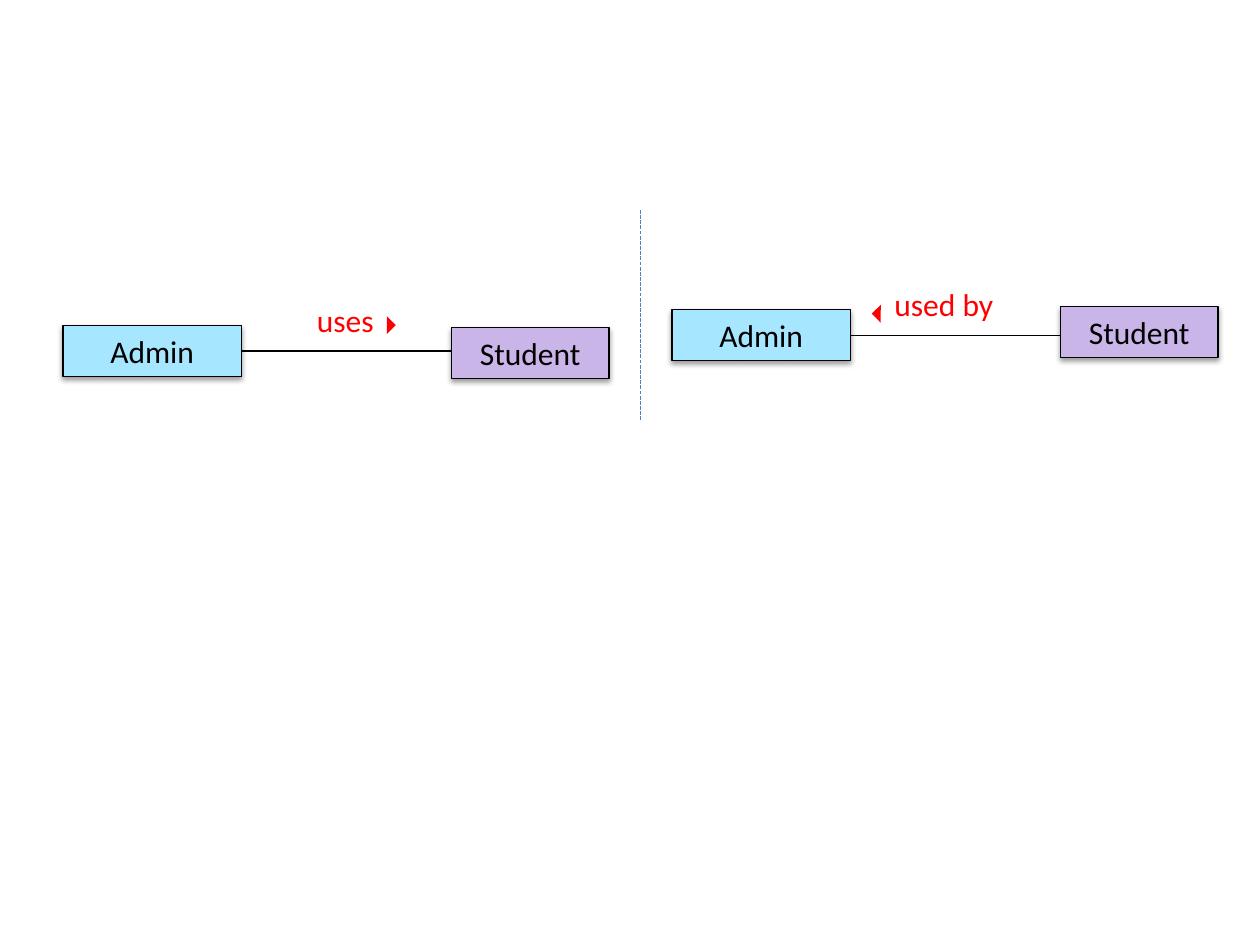
"""Builds a slide comparing two directions of an Admin and Student association."""
import dataclasses

import lxml.etree
import pptx
import pptx.dml.color
import pptx.enum.dml
import pptx.enum.shapes
import pptx.enum.text
import pptx.oxml.ns
import pptx.util

CELL = 1 / 12
BOX_HEIGHT = 4.85
ADMIN_WIDTH, STUDENT_WIDTH = 17, 15
STUDENT_OFFSET = 37
LABEL_RISE = 2.9
MARKER_SIZE = 1.2
BLACK, RED, BLUE = "000000", "FF0000", "4F81BD"
ADMIN_FILL, STUDENT_FILL = "A7E6FF", "C9B5E8"


@dataclasses.dataclass
class Association:
    """One labelled link, placed in grid columns and rows."""
    column: float
    admin_row: float
    student_row: float
    label: str
    label_column: float
    label_width: float
    marker_column: float
    marker_row: float
    marker_rotation: float


ASSOCIATIONS = [
    Association(6, 31, 31.2, "uses", 29, 8, 36.24, 30.36, 224.9),
    Association(64, 29.5, 29.2, "used by", 84, 14, 83.28, 29.28, 45.5),
]


def cells(count: float) -> int:
    """Return the length of a number of grid cells."""
    return pptx.util.Inches(count * CELL)


def color(value: str) -> pptx.dml.color.RGBColor:
    """Return the colour for a hex string."""
    return pptx.dml.color.RGBColor.from_string(value)


def write(shape, text: str, text_color: str, alignment) -> None:
    """Write one styled paragraph into a shape."""
    frame = shape.text_frame
    frame.word_wrap = True
    frame.auto_size = pptx.enum.text.MSO_AUTO_SIZE.SHAPE_TO_FIT_TEXT
    paragraph = frame.paragraphs[0]
    paragraph.text = text
    paragraph.alignment = alignment
    paragraph.font.name = "Calibri"
    paragraph.font.size = pptx.util.Pt(18)
    paragraph.font.color.rgb = color(text_color)


def add_shadow(shape) -> None:
    """Give a shape a soft shadow straight below it."""
    shape.shadow.inherit = False
    qualified = pptx.oxml.ns.qn
    effects = shape._element.spPr.find(qualified("a:effectLst"))
    shadow = lxml.etree.SubElement(
        effects, qualified("a:outerShdw"), blurRad="40000", dist="20000",
        dir="5400000", rotWithShape="0")
    shade = lxml.etree.SubElement(shadow, qualified("a:srgbClr"), val=BLACK)
    lxml.etree.SubElement(shade, qualified("a:alpha"), val="38000")


def add_box(slide, column: float, row: float, width: float, text: str, fill: str):
    """Add an outlined class box with centred text."""
    box = slide.shapes.add_shape(
        pptx.enum.shapes.MSO_SHAPE.RECTANGLE,
        cells(column), cells(row), cells(width), cells(BOX_HEIGHT))
    box.fill.solid()
    box.fill.fore_color.rgb = color(fill)
    box.line.color.rgb = color(BLACK)
    box.line.width = pptx.util.Pt(0.75)
    add_shadow(box)
    box.text_frame.vertical_anchor = pptx.enum.text.MSO_ANCHOR.MIDDLE
    write(box, text, BLACK, pptx.enum.text.PP_ALIGN.CENTER)
    return box


def add_line(slide, start_x: int, start_y: int, end_x: int, end_y: int, line_color: str):
    """Add a thin straight line without a shadow."""
    line = slide.shapes.add_connector(
        pptx.enum.shapes.MSO_CONNECTOR.STRAIGHT, start_x, start_y, end_x, end_y)
    line.line.color.rgb = color(line_color)
    line.line.width = pptx.util.Pt(0.75)
    lxml.etree.SubElement(line._element.spPr, pptx.oxml.ns.qn("a:effectLst"))
    return line


def add_marker(slide, column: float, row: float, rotation: float) -> None:
    """Add the small triangle that gives the reading direction."""
    marker = slide.shapes.add_shape(
        pptx.enum.shapes.MSO_SHAPE.RIGHT_TRIANGLE,
        cells(column), cells(row), cells(MARKER_SIZE), cells(MARKER_SIZE))
    marker.rotation = rotation
    marker.shadow.inherit = False
    marker.fill.solid()
    marker.fill.fore_color.rgb = color(RED)
    marker.line.fill.background()


def add_association(slide, association: Association) -> None:
    """Draw both boxes, their link, its label and its marker."""
    admin = add_box(slide, association.column, association.admin_row,
                    ADMIN_WIDTH, "Admin", ADMIN_FILL)
    student = add_box(slide, association.column + STUDENT_OFFSET, association.student_row,
                      STUDENT_WIDTH, "Student", STUDENT_FILL)
    middle = admin.top + admin.height // 2
    link = add_line(slide, admin.left + admin.width, middle, student.left, middle, BLACK)
    link.begin_connect(admin, 3)
    label = slide.shapes.add_textbox(
        cells(association.label_column), cells(association.admin_row - LABEL_RISE),
        cells(association.label_width), cells(BOX_HEIGHT))
    write(label, association.label, RED, pptx.enum.text.PP_ALIGN.LEFT)
    add_marker(slide, association.marker_column, association.marker_row,
               association.marker_rotation)


def main() -> None:
    """Build and save the presentation."""
    presentation = pptx.Presentation()
    presentation.slide_width = pptx.util.Inches(10)
    presentation.slide_height = pptx.util.Inches(7.5)
    slide = presentation.slides.add_slide(presentation.slide_layouts[6])
    for association in ASSOCIATIONS:
        add_association(slide, association)
    divider = add_line(slide, cells(61), cells(20), cells(61), cells(40), BLUE)
    divider.line.dash_style = pptx.enum.dml.MSO_LINE.SQUARE_DOT
    presentation.save("out.pptx")


if __name__ == "__main__":
    main()
